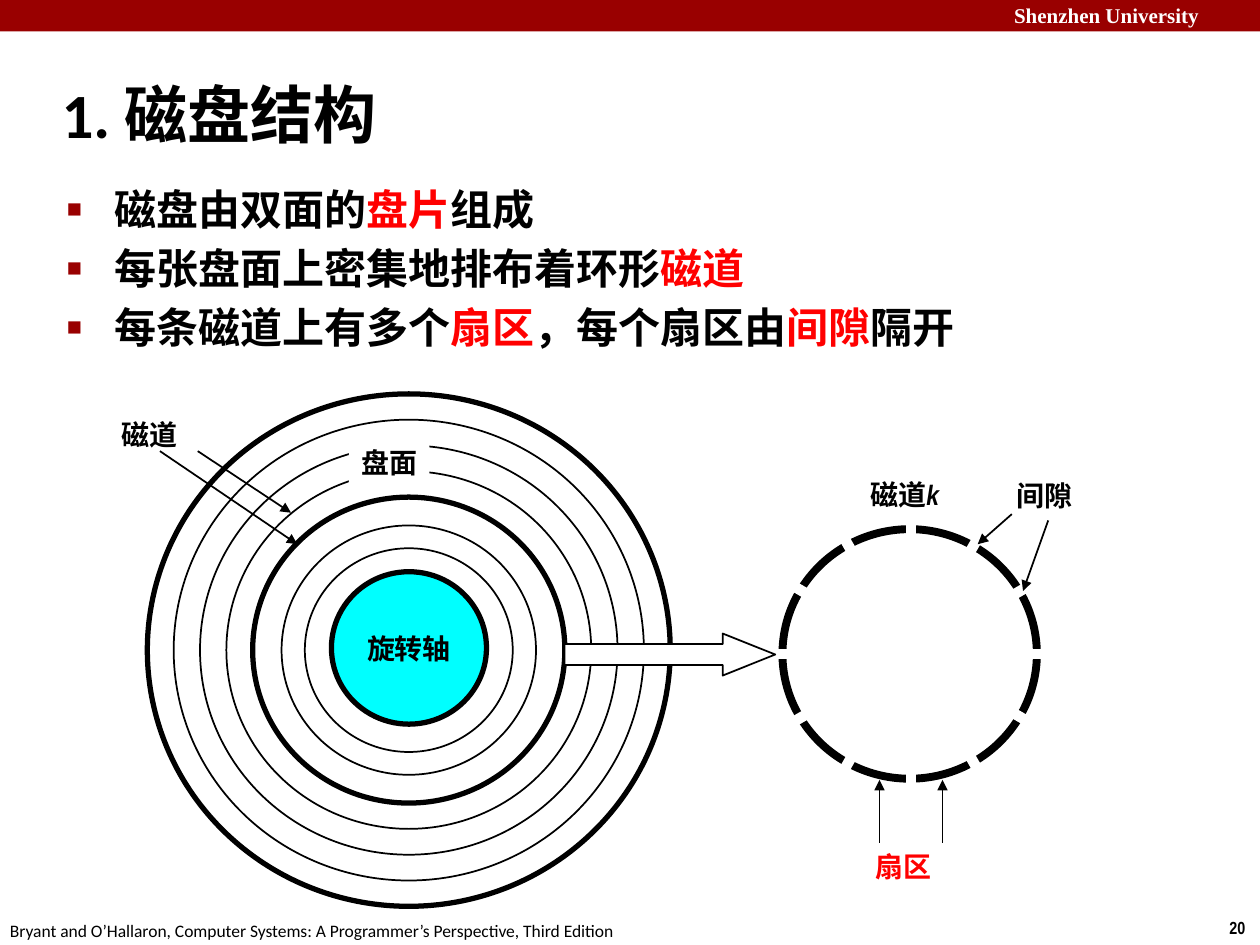
"""Build a slide on disk structure with platter rings and a sectored track."""
from math import cos, radians, sin

from lxml import etree
from pptx import Presentation
from pptx.dml.color import RGBColor
from pptx.enum.shapes import MSO_CONNECTOR, MSO_SHAPE
from pptx.enum.text import MSO_ANCHOR, MSO_AUTO_SIZE, PP_ALIGN
from pptx.oxml.ns import qn
from pptx.util import Pt

RECTANGLE, OVAL, BLOCK_ARROW = MSO_SHAPE.RECTANGLE, MSO_SHAPE.OVAL, MSO_SHAPE.RIGHT_ARROW
STRAIGHT = MSO_CONNECTOR.STRAIGHT
TOP, MIDDLE = MSO_ANCHOR.TOP, MSO_ANCHOR.MIDDLE
LEFT, CENTER = PP_ALIGN.LEFT, PP_ALIGN.CENTER
NO_RESIZE = MSO_AUTO_SIZE.NONE

THEME = {
    "ink": RGBColor(0, 0, 0),
    "paper": RGBColor(255, 255, 255),
    "brand": RGBColor(0x99, 0, 0),
    "accent": RGBColor(255, 0, 0),
    "spindle": RGBColor(0, 255, 255),
    "title": 36, "list": 24, "label": 16, "header": 12, "footer": 10,
    "main_font": "Calibri", "label_font": "Arial Narrow", "header_font": "Times New Roman",
}


def write(box, *lines, size="label", font="label_font", color="ink", bold=True,
          align=LEFT, anchor=TOP, wrap=False):
    """Fill a box with lines, each a list of (text, color, italic) spans or a string."""
    frame = box.text_frame
    frame.word_wrap, frame.auto_size, frame.vertical_anchor = wrap, NO_RESIZE, anchor
    for index, line in enumerate(lines):
        para = frame.add_paragraph() if index else frame.paragraphs[0]
        para.alignment = align
        for text, tint, italic in [(line, color, False)] if isinstance(line, str) else line:
            span = para.add_run()
            span.text = text
            span.font.name, span.font.size = THEME[font], Pt(THEME[size])
            span.font.bold, span.font.italic = bold, italic
            span.font.color.rgb = THEME[tint]


def draw(kind, left, top, width, height, fill=None, weight=0):
    """Add a preset shape with an optional fill and black outline."""
    shape = page.shapes.add_shape(kind, Pt(left), Pt(top), Pt(width), Pt(height))
    shape.shadow.inherit = False
    if fill:
        shape.fill.solid()
        shape.fill.fore_color.rgb = THEME[fill]
    else:
        shape.fill.background()
    if weight:
        shape.line.color.rgb = THEME["ink"]
        shape.line.width = Pt(weight)
    else:
        shape.line.fill.background()
    return shape


deck = Presentation()
deck.slide_width, deck.slide_height = Pt(720), Pt(540)
page = deck.slides.add_slide(deck.slide_layouts[1])

title, body = page.placeholders
title.left, title.top, title.width, title.height = Pt(28), Pt(34.5), Pt(598), Pt(60)
write(title, "1. 磁盘结构", size="title", font="main_font", anchor=MIDDLE, wrap=True)

body.left, body.top, body.width, body.height = Pt(31), Pt(101.5), Pt(622), Pt(392)
write(
    body,
    [("磁盘由双面的", "ink", False), ("盘片", "accent", False), ("组成", "ink", False)],
    [("每张盘面上密集地排布着环形", "ink", False), ("磁道", "accent", False)],
    [("每条磁道上有多个", "ink", False), ("扇区", "accent", False),
     ("，每个扇区由", "ink", False), ("间隙", "accent", False), ("隔开", "ink", False)],
    size="list", font="main_font", wrap=True)
for index, para in enumerate(body.text_frame.paragraphs):
    para.space_before = Pt(4.8 if index else 0)
    properties = para._p.get_or_add_pPr()
    properties.set("marL", str(Pt(27)))
    properties.set("indent", str(-Pt(27)))
    bullet_color = etree.SubElement(properties, qn("a:buClr"))
    etree.SubElement(bullet_color, qn("a:srgbClr"), val=str(THEME["brand"]))
    etree.SubElement(properties, qn("a:buSzPct"), val="60000")
    etree.SubElement(properties, qn("a:buFont"), typeface="Arial")
    etree.SubElement(properties, qn("a:buChar"), char="■")

draw(RECTANGLE, 0, 0, 720, 18, fill="brand")

DISK_X, DISK_Y, FLATTENING = 233.6, 371.5, 0.98
for width, weight in [(298.8, 3), (268.7, 1), (238.6, 1), (208.5, 1), (178.4, 3),
                      (145.4, 1), (118.8, 1)]:
    height = width * FLATTENING
    draw(OVAL, DISK_X - width / 2, DISK_Y - height / 2, width, height, weight=weight)

spindle = draw(OVAL, 189.4, 326.7, 88.6, 87.1, fill="spindle", weight=3)
write(spindle, "旋转轴", align=CENTER, anchor=MIDDLE)
surface = draw(RECTANGLE, 199.4, 251.3, 46, 26.6, fill="paper")
write(surface, "盘面")

TRACK_X, TRACK_Y, SPOKE = 520.6, 373.7, 83
draw(OVAL, 447.1, 302.4, 145.4, 142.6, weight=4.5)

spokes = [(TRACK_X, TRACK_Y, TRACK_X + SPOKE * cos(radians(angle)),
           TRACK_Y + SPOKE * sin(radians(angle))) for angle in range(0, 360, 30)]
pointers = [
    (91.4, 257.8, 169.9, 311), (113, 257.8, 166.3, 293),
    (502.6, 481.7, 502.6, 445.7), (538.6, 481.7, 538.6, 445.7),
    (578.2, 293.8, 558.7, 311), (599, 297.4, 584.6, 337.7),
]
for ends in spokes + pointers:
    is_spoke = ends in spokes
    line = page.shapes.add_connector(STRAIGHT, *map(Pt, ends))
    line.line.color.rgb = THEME["paper" if is_spoke else "ink"]
    line.line.width = Pt(6 if is_spoke else 1)
    if not is_spoke:
        etree.SubElement(line.line._get_or_add_ln(), qn("a:tailEnd"), type="triangle")
    etree.SubElement(line._element.spPr, qn("a:effectLst"))

zoom_arrow = draw(BLOCK_ARROW, 322.6, 362, 120.4, 24, fill="paper", weight=1)
zoom_arrow.adjustments[0], zoom_arrow.adjustments[1] = 0.5, 1.25

header = {"size": "header", "font": "header_font", "color": "paper", "wrap": True}
footer = {"size": "footer", "font": "main_font", "bold": False}
track_name = [("磁道", "ink", False), ("k", "ink", True)]
for text, left, top, width, height, style in [
    ("Shenzhen University", 572.4, -2, 152.6, 21.6, header),
    ("20", 695.5, 520.6, 24.5, 19.4, {"size": "footer"}),
    ("Bryant and O’Hallaron, Computer Systems: A Programmer’s Perspective, Third Edition",
     -1.4, 522, 366.5, 19.4, footer),
    ("磁道", 62.6, 234.7, 46, 26.6, {"anchor": MIDDLE}),
    (track_name, 490.3, 269.3, 54, 26.6, {"wrap": True}),
    ("间隙", 573.8, 270, 46, 26.6, {"anchor": MIDDLE}),
    ("扇区", 493.2, 481.7, 46.8, 26.6, {"anchor": MIDDLE, "color": "accent"}),
]:
    write(page.shapes.add_textbox(Pt(left), Pt(top), Pt(width), Pt(height)), text, **style)

deck.save("out.pptx")
